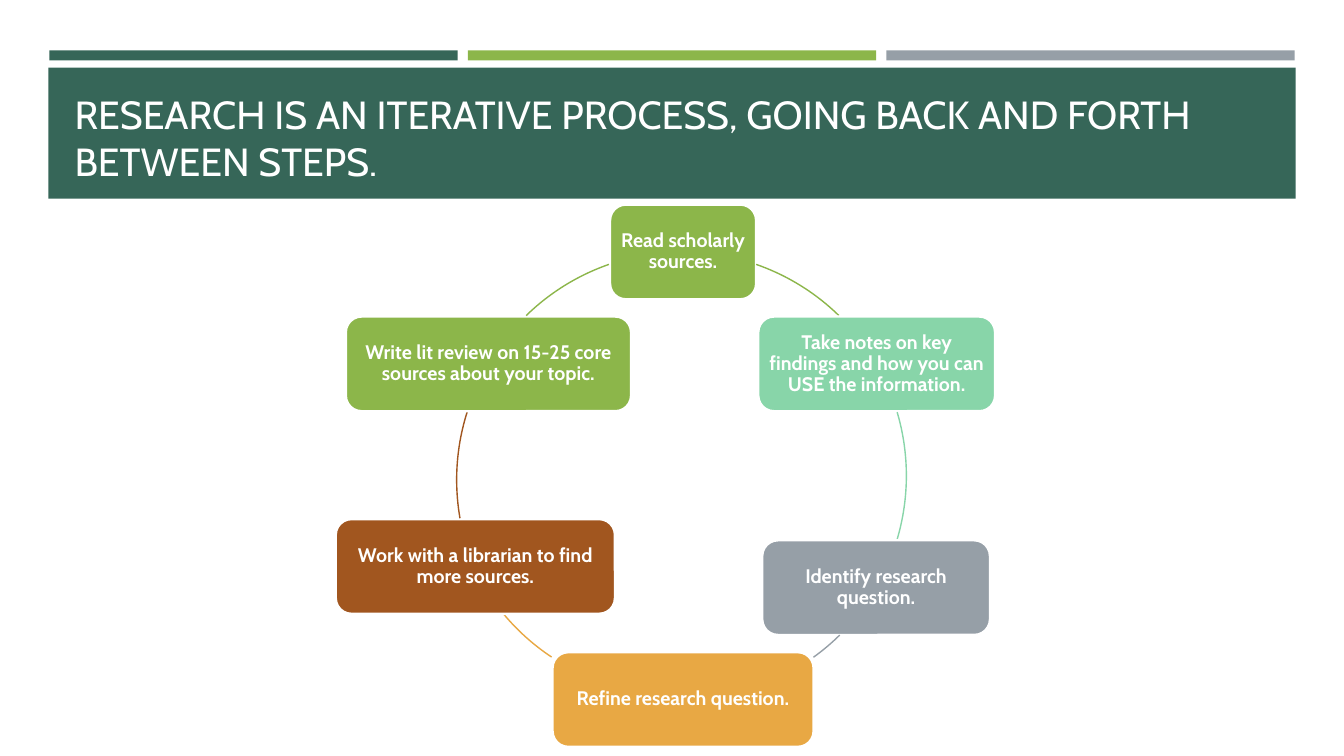
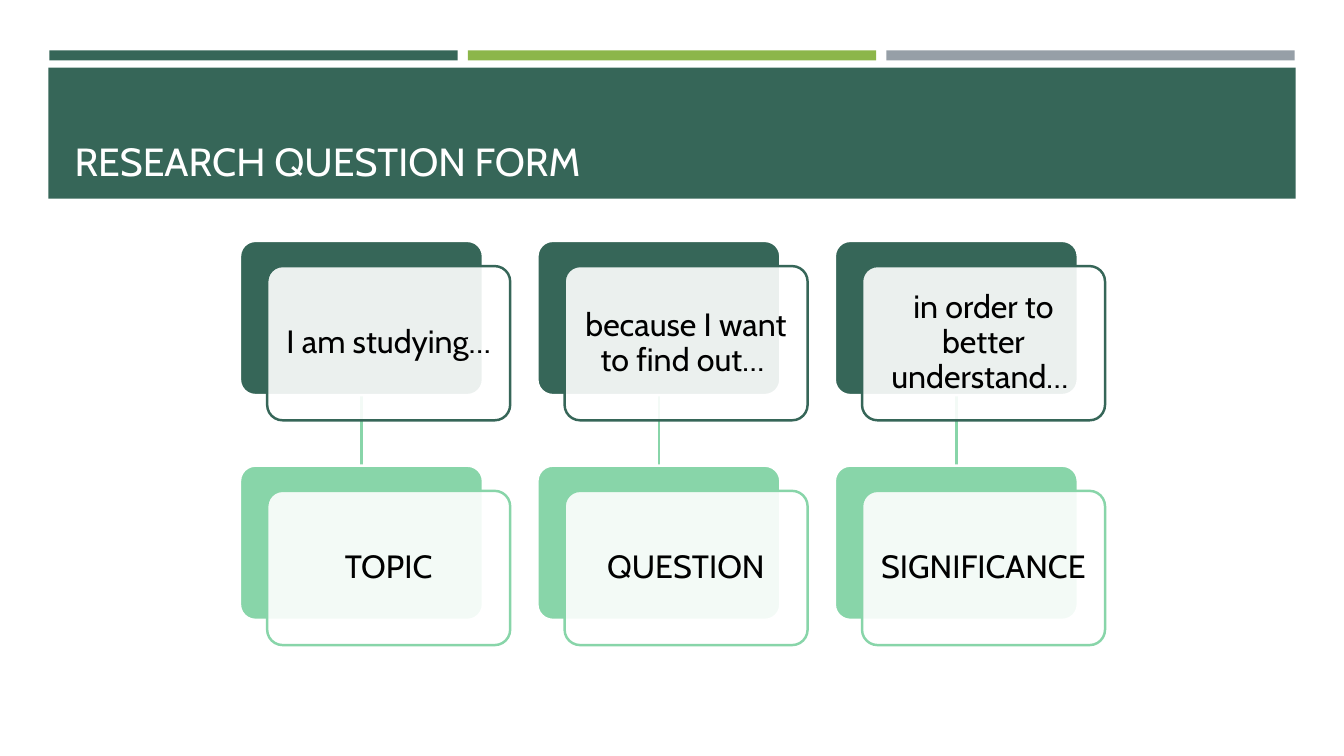
from lxml import etree
from pptx import Presentation
from pptx import util as u
from pptx.dml.color import RGBColor
from pptx.enum import shapes, text
from pptx.oxml import ns

PX = 9144
FONT = "Cabin"
WHITE = RGBColor(0xFF, 0xFF, 0xFF)
BLACK = RGBColor(0x00, 0x00, 0x00)
PINE = RGBColor(0x36, 0x66, 0x58)
LEAF = RGBColor(0x8C, 0xB6, 0x4A)
SLATE = RGBColor(0x96, 0x9F, 0xA7)
MINT = RGBColor(0x88, 0xD5, 0xA9)
AMBER = RGBColor(0xE8, 0xA8, 0x44)
RUST = RGBColor(0xA1, 0x56, 0x1F)

HEADER_BOX = (48, 50, 1237, 147)
CYCLE_BOX = (333, 203, 654, 538)
CARDS_BOX = (238, 239, 857, 401)

CYCLE_STEPS = [
    ("Read scholarly sources.", LEAF, (272, 0, 145)),
    ("Take notes on key findings and how you can USE the information.", MINT, (419, 111, 235)),
    ("Identify research question.", SLATE, (423, 333, 226)),
    ("Refine research question.", AMBER, (215, 444, 259)),
    ("Work with a librarian to find more sources.", RUST, (0, 312, 277)),
    ("Write lit review on 15-25 core sources about your topic.", LEAF, (10, 111, 283)),
]
CYCLE_ARCS = [
    (LEAF, (122, 47), (289.2, 314.3)),
    (MINT, (122, 47), (343.5, 16.5)),
    (SLATE, (122, 47), (45.4, 54.2)),
    (AMBER, (115, 42), (123.6, 139.9)),
    (RUST, (120, 51), (170.1, 197.6)),
    (LEAF, (122, 47), (225.7, 250.8)),
]
QUESTION_PARTS = [
    ("I am studying…", "TOPIC"),
    ("because I want to find out… ", "QUESTION"),
    ("in order to better understand… ", "SIGNIFICANCE"),
]


def set_all(target, values):
    for name, value in values.items():
        setattr(target, name, value)


def emu(*lengths):
    return [length * PX for length in lengths]


def draw(slide, kind, box, fill=None, line=None, weight=1.75):
    shape = slide.shapes.add_shape(kind, *emu(*box))
    shape.shadow.inherit = False
    if fill is None:
        shape.fill.background()
    else:
        shape.fill.solid()
        shape.fill.fore_color.rgb = fill
    if line is None:
        shape.line.fill.background()
    else:
        shape.line.color.rgb = line
        shape.line.width = u.Pt(weight)
    return shape


def write(shape, words, size, color, side_inset, end_inset, bold=False, spacing=0.9,
          align=text.PP_ALIGN.CENTER, anchor=text.MSO_ANCHOR.MIDDLE):
    frame = shape.text_frame
    frame.text = words
    set_all(frame, {
        "word_wrap": True,
        "auto_size": text.MSO_AUTO_SIZE.NONE,
        "vertical_anchor": anchor,
        "margin_left": side_inset * PX,
        "margin_right": side_inset * PX,
        "margin_top": end_inset * PX,
        "margin_bottom": end_inset * PX,
    })
    paragraph = frame.paragraphs[0]
    set_all(paragraph, {"alignment": align, "line_spacing": spacing})
    font = paragraph.runs[0].font
    set_all(font, {"name": FONT, "size": u.Pt(size), "bold": bold})
    font.color.rgb = color


def draw_header(slide, box, words):
    left, top, width, height = box
    for column, color in enumerate((PINE, LEAF, SLATE)):
        draw(slide, shapes.MSO_SHAPE.RECTANGLE, (left + 1 + 415 * column, top, 405, 10), color)
    draw(slide, shapes.MSO_SHAPE.RECTANGLE, (left, top + 17, width, height - 17), PINE)
    title = slide.shapes.title
    title_box = emu(left + 16, top + 27, width - 31, height - 36)
    set_all(title, dict(zip(("left", "top", "width", "height"), title_box)))
    write(title, words, 28, WHITE, 10, 5, spacing=1.0,
          align=text.PP_ALIGN.LEFT, anchor=text.MSO_ANCHOR.BOTTOM)
    title.element.getparent().append(title.element)


def draw_cycle(slide, box):
    left, top = box[:2]
    for (words, fill, (x, y, width)), (color, (arc_x, arc_y), angles) in zip(CYCLE_STEPS, CYCLE_ARCS):
        step = draw(slide, shapes.MSO_SHAPE.ROUNDED_RECTANGLE,
                    (left + x, top + y, width, 94), fill, WHITE)
        write(step, words, 14, WHITE, 5, 5, bold=True)
        arc = draw(slide, shapes.MSO_SHAPE.ARC,
                   (left + arc_x, top + arc_y, 444, 444), line=color, weight=1)
        for index, angle in enumerate(angles):
            arc.adjustments[index] = angle * 0.6


def draw_link(slide, x, top, bottom):
    link = slide.shapes.add_connector(shapes.MSO_CONNECTOR.STRAIGHT, *emu(x, top, x, bottom))
    link.line.color.rgb = MINT
    link.line.width = u.Pt(1.75)
    etree.SubElement(link.element.spPr, ns.qn("a:effectLst"))
    return link


def draw_card(slide, box, words, color):
    left, top, width, height = box
    plate = draw(slide, shapes.MSO_SHAPE.ROUNDED_RECTANGLE, box, color, WHITE)
    front = draw(slide, shapes.MSO_SHAPE.ROUNDED_RECTANGLE,
                 (left + 27, top + 25, width, height), WHITE, color)
    for panel in (plate, front):
        panel.adjustments[0] = 0.1
    front_fill = next(front.element.spPr.iter(ns.qn("a:srgbClr")))
    etree.SubElement(front_fill, ns.qn("a:alpha"), val="90000")
    write(front, words, 23, BLACK, 9, 9)
    return plate


def draw_question_cards(slide, box):
    left, top = box[:2]
    width, height, column_step, row_step = 241, 153, 295, 223
    for column, (phrase, part) in enumerate(QUESTION_PARTS):
        x = left + column * column_step
        link = draw_link(slide, x + width // 2, top + height, top + row_step)
        phrase_plate = draw_card(slide, (x, top, width, height), phrase, PINE)
        part_plate = draw_card(slide, (x, top + row_step, width, height), part, MINT)
        link.begin_connect(phrase_plate, 2)
        link.end_connect(part_plate, 0)


def main():
    deck = Presentation()
    set_all(deck, {"slide_width": 1333 * PX, "slide_height": 750 * PX})
    for words, draw_body, box in (
        ("RESEARCH IS AN ITERATIVE PROCESS, GOING BACK AND FORTH BETWEEN STEPS.",
         draw_cycle, CYCLE_BOX),
        ("RESEARCH QUESTION FORM", draw_question_cards, CARDS_BOX),
    ):
        slide = deck.slides.add_slide(deck.slide_layouts[5])
        draw_header(slide, HEADER_BOX, words)
        draw_body(slide, box)
    deck.save("out.pptx")


if __name__ == "__main__":
    main()
